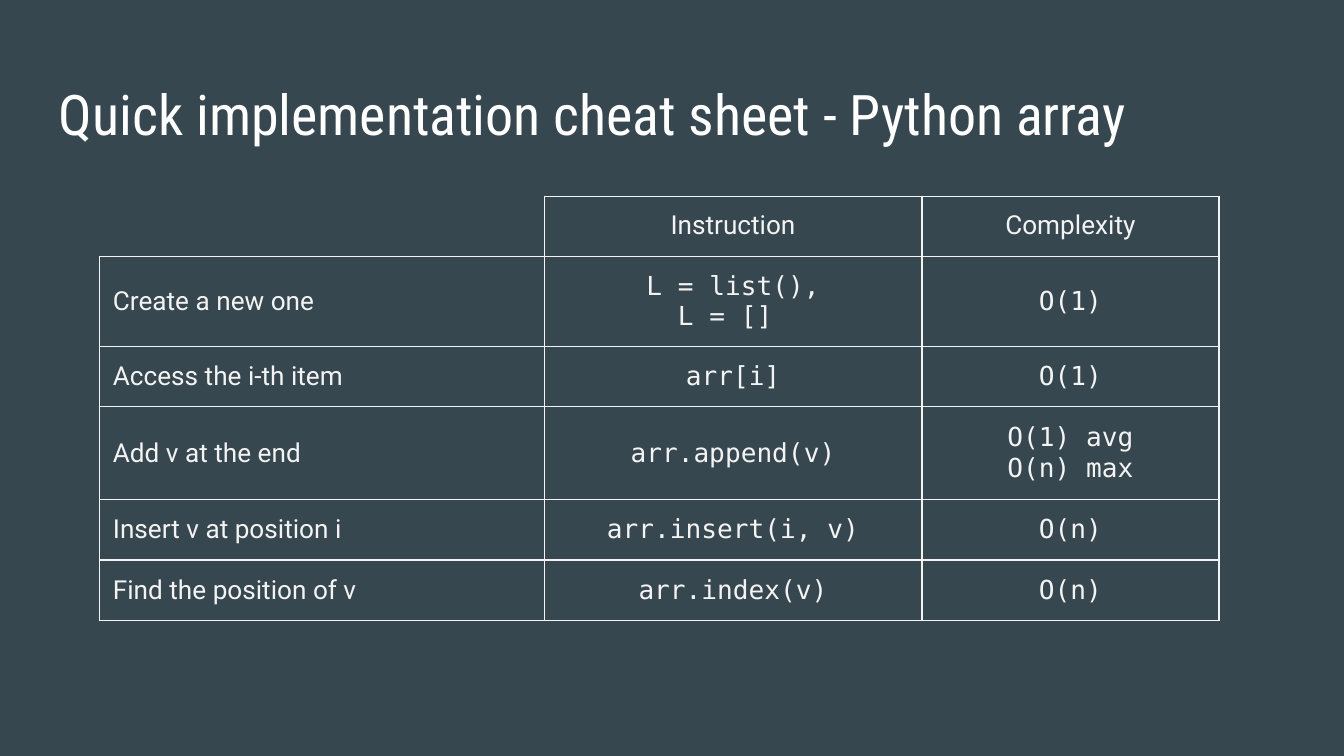
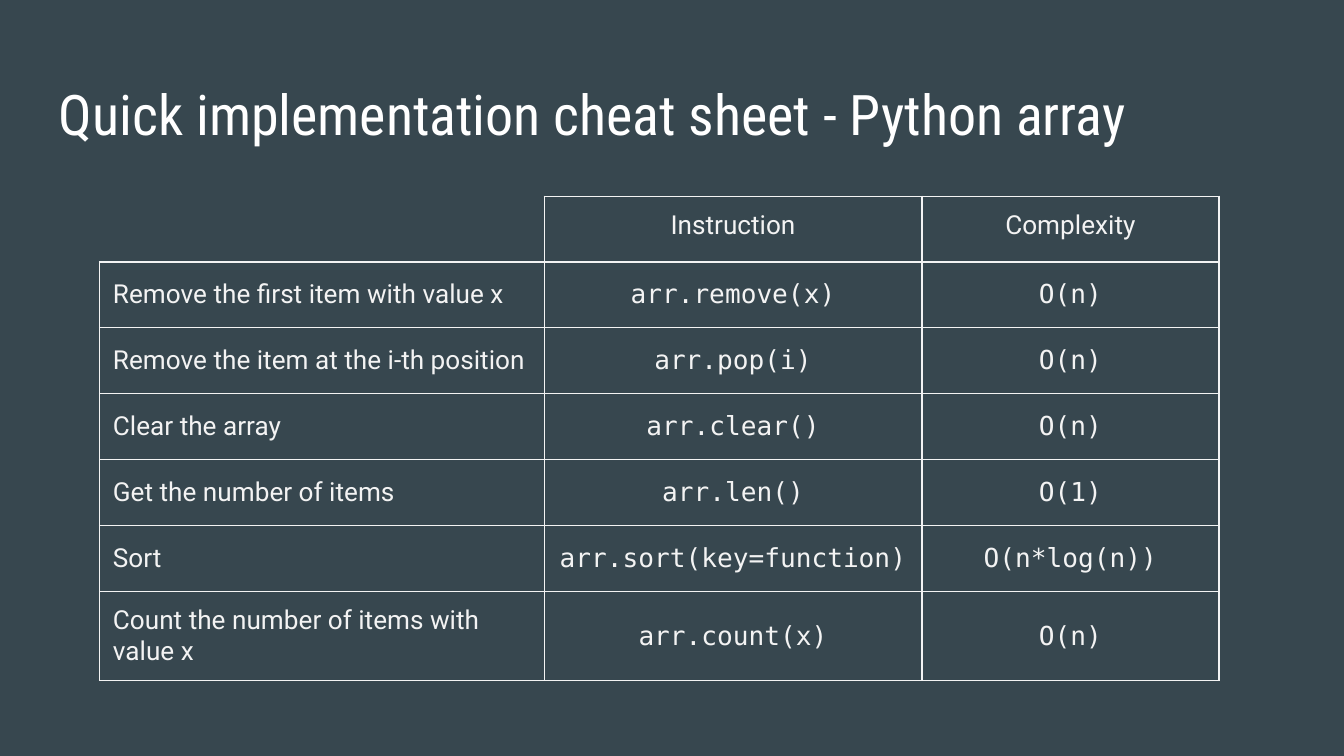
from dataclasses import dataclass

from lxml import etree
from pptx import Presentation
from pptx.dml.color import RGBColor
from pptx.enum.text import MSO_ANCHOR, PP_ALIGN
from pptx.oxml.ns import qn
from pptx.util import Inches, Pt

LEFT, CENTER = PP_ALIGN.LEFT, PP_ALIGN.CENTER
TOP, MIDDLE = MSO_ANCHOR.TOP, MSO_ANCHOR.MIDDLE
BLANK_LAYOUT = 6


@dataclass(frozen=True)
class Theme:
    background: str = "37474F"
    title_color: str = "FFFFFF"
    table_color: str = "F3F3F3"
    title_font: str = "Roboto Condensed"
    body_font: str = "Roboto"
    code_font: str = "DejaVu Sans Mono"
    title_size: float = 30
    table_size: float = 14
    border_width: float = 0.75
    inset: float = 0.1


THEME = Theme()
TITLE = "Quick implementation cheat sheet - Python array"
HEADER = ("", "Instruction", "Complexity")
COLUMN_WIDTHS = (3.31, 2.81, 2.21)
TABLE_LEFT, TABLE_TOP = 0.74, 1.46

BASIC_OPERATIONS = (
    ("Create a new one", "L = list(),\nL = [] ", "O(1)"),
    ("Access the i-th item", "arr[i]", "O(1)"),
    ("Add v at the end", "arr.append(v)", "O(1) avg\nO(n) max"),
    ("Insert v at position i", "arr.insert(i, v)", "O(n)"),
    ("Find the position of v", "arr.index(v)", "O(n)"),
)
BASIC_HEIGHTS = (0.45, 0.45, 0.45, 0.69, 0.45, 0.45)

OTHER_OPERATIONS = (
    ("Remove the first item with value x", "arr.remove(x)", "O(n)"),
    ("Remove the item at the i-th position", "arr.pop(i)", "O(n)"),
    ("Clear the array", "arr.clear()", "O(n)"),
    ("Get the number of items", "arr.len()", "O(1)"),
    ("Sort", "arr.sort(key=function)", "O(n*log(n))"),
    ("Count the number of items with value x", "arr.count(x)", "O(n)"),
)
OTHER_HEIGHTS = (0.49,) * 7


def write_text(frame, text, font, size, color, alignment=LEFT):
    """Put each line of the text in a paragraph of its own."""
    for number, line in enumerate(text.split("\n")):
        para = frame.add_paragraph() if number else frame.paragraphs[0]
        para.alignment = alignment
        span = para.add_run()
        span.text = line
        span.font.name = font
        span.font.size = Pt(size)
        span.font.color.rgb = RGBColor.from_string(color)


def set_insets(target):
    """Give a text frame or a table cell the same inset on all sides."""
    target.margin_left = target.margin_right = Inches(THEME.inset)
    target.margin_top = target.margin_bottom = Inches(THEME.inset)


def add_page(deck):
    page = deck.slides.add_slide(deck.slide_layouts[BLANK_LAYOUT])
    page.background.fill.solid()
    page.background.fill.fore_color.rgb = RGBColor.from_string(THEME.background)
    return page


def add_title(page, text):
    box = page.shapes.add_textbox(Inches(0.34), Inches(0.49), Inches(9.32), Inches(0.63))
    frame = box.text_frame
    frame.word_wrap = True
    frame.vertical_anchor = TOP
    set_insets(frame)
    write_text(frame, text, THEME.title_font, THEME.title_size, THEME.title_color)


def set_borders(cell, visible):
    """Draw the sides named in visible (of L, R, T, B) and hide the others."""
    properties = cell._tc.get_or_add_tcPr()
    for side in "LRTB":
        line = etree.SubElement(properties, qn(f"a:ln{side}"), w=str(Pt(THEME.border_width)))
        if side in visible:
            fill = etree.SubElement(line, qn("a:solidFill"))
            etree.SubElement(fill, qn("a:srgbClr"), val=THEME.table_color)
        else:
            etree.SubElement(line, qn("a:noFill"))


def size_empty_cell(cell):
    """Keep an empty cell from stretching its row with the default type size."""
    para = cell.text_frame.paragraphs[0]
    etree.SubElement(para._p, qn("a:endParaRPr"), sz=str(int(THEME.table_size * 100)))


def fill_cell(cell, text, row, column):
    is_corner = row == 0 and column == 0
    set_borders(cell, "RB" if is_corner else "LRTB")
    cell.fill.background()
    set_insets(cell)
    cell.vertical_anchor = MIDDLE if row else TOP
    if is_corner:
        size_empty_cell(cell)
        return
    font = THEME.code_font if row and column else THEME.body_font
    alignment = CENTER if column else LEFT
    write_text(cell.text_frame, text, font, THEME.table_size, THEME.table_color, alignment)


def add_cheat_sheet(page, operations, heights):
    rows = (HEADER, *operations)
    table = page.shapes.add_table(
        len(rows), len(HEADER), Inches(TABLE_LEFT), Inches(TABLE_TOP),
        Inches(sum(COLUMN_WIDTHS)), Inches(sum(heights)),
    ).table
    table.first_row = table.horz_banding = False
    for column, width in zip(table.columns, COLUMN_WIDTHS):
        column.width = Inches(width)
    for row, height in zip(table.rows, heights):
        row.height = Inches(height)
    for row, texts in enumerate(rows):
        for column, text in enumerate(texts):
            fill_cell(table.cell(row, column), text, row, column)


def main():
    deck = Presentation()
    deck.slide_width = Inches(10)
    deck.slide_height = deck.slide_width * 9 // 16
    for operations, heights in (
        (BASIC_OPERATIONS, BASIC_HEIGHTS),
        (OTHER_OPERATIONS, OTHER_HEIGHTS),
    ):
        page = add_page(deck)
        add_title(page, TITLE)
        add_cheat_sheet(page, operations, heights)
    deck.save("out.pptx")


if __name__ == "__main__":
    main()
